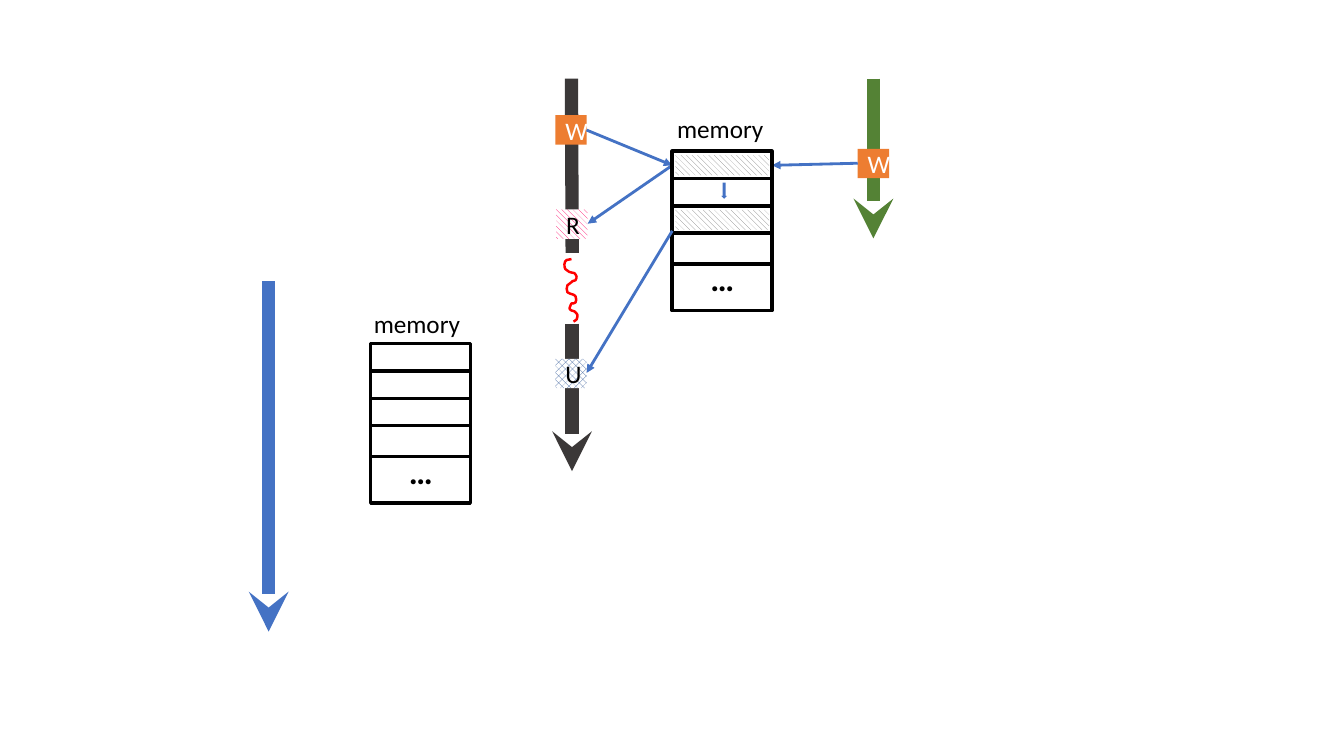
from dataclasses import dataclass

from lxml import etree
from pptx import Presentation
from pptx.dml.color import RGBColor
from pptx.enum.dml import MSO_PATTERN
from pptx.enum.shapes import MSO_CONNECTOR, MSO_SHAPE
from pptx.enum.text import MSO_ANCHOR, MSO_AUTO_SIZE, PP_ALIGN
from pptx.oxml.ns import qn
from pptx.util import Pt

STRAIGHT = MSO_CONNECTOR.STRAIGHT
RECTANGLE, DOWN_ARROW = MSO_SHAPE.RECTANGLE, MSO_SHAPE.DOWN_ARROW
DIAGONAL, HALF_TONE = MSO_PATTERN.WIDE_DOWNWARD_DIAGONAL, MSO_PATTERN.PERCENT_50
MIDDLE, CENTER = MSO_ANCHOR.MIDDLE, PP_ALIGN.CENTER
FIT_SHAPE = MSO_AUTO_SIZE.SHAPE_TO_FIT_TEXT

BLACK, WHITE, GRAY, RED = "000000", "FFFFFF", "808080", "FF0000"
BLUE, NAVY, GREEN, CHARCOAL = "4472C4", "2F5597", "548235", "3B3838"
ORANGE, PINK = "ED7D31", "FF0066"

MEMORY_WIDTH, MEMORY_HEIGHT = 71.2, 113.8
ROW_TOPS = (0, 19.5, 39, 58.5, 80.6)
EVENT_WIDTH, EVENT_HEIGHT = 22.4, 21
TIMELINE_WEIGHT, BORDER_WEIGHT, LINK_WEIGHT = 9.5, 2.5, 2
POINTS_PER_INCH = 72


@dataclass(frozen=True)
class Line:
    """A straight line in points, with an optional arrowhead at its end."""
    start: tuple[float, float]
    end: tuple[float, float]
    color: str = BLUE
    weight: float = LINK_WEIGHT
    head: str = "triangle"


@dataclass(frozen=True)
class Event:
    """A lettered operation on a timeline."""
    letter: str
    left: float
    top: float
    color: str
    text_color: str = BLACK
    pattern: MSO_PATTERN | None = None


@dataclass(frozen=True)
class Memory:
    """A memory block, its label position and its shaded row indexes."""
    left: float
    top: float
    label_left: float
    label_top: float
    shaded_rows: tuple[int, ...] = ()


TIMELINES = (
    Line((408.2, 56.2), (408.7, 180.7), CHARCOAL, TIMELINE_WEIGHT, ""),
    Line((623.9, 56.2), (623.9, 170.3), GREEN, TIMELINE_WEIGHT, "stealth"),
    Line((191.9, 200.9), (191.9, 451.1), BLUE, TIMELINE_WEIGHT, "stealth"),
    Line((408.6, 231.1), (408.6, 336.5), CHARCOAL, TIMELINE_WEIGHT, "stealth"),
)
EVENTS = (
    Event("W", 396.7, 82.3, ORANGE, WHITE),
    Event("W", 612.7, 106.3, ORANGE, WHITE),
    Event("R", 397.3, 149.6, PINK, pattern=DIAGONAL),
    Event("U", 396.7, 256.3, NAVY, pattern=HALF_TONE),
)
ACCESS_LINKS = (
    Line((419, 92.9), (480.2, 118.1)),
    Line((612.7, 116.6), (551.5, 118.1)),
    Line((480.2, 118.1), (419.8, 159.8)),
)
UPDATE_LINK = Line((480.2, 164.9), (419, 266.4))
MEMORIES = (
    Memory(264.8, 245.5, 259.9, 217),
    Memory(480.2, 108, 476.6, 77.5, (0, 2)),
)

# Start point, then two control points and an end point for each Bezier curve.
WAVE = (
    (5.67, 2.57), (5.65, 2.57), (5.64, 2.57), (5.62, 2.58), (5.61, 2.58), (5.6, 2.61),
    (5.6, 2.62), (5.6, 2.64), (5.6, 2.66), (5.61, 2.67), (5.63, 2.7), (5.66, 2.7),
    (5.7, 2.71), (5.72, 2.74), (5.73, 2.74), (5.71, 2.78), (5.7, 2.79), (5.69, 2.79),
    (5.68, 2.79), (5.67, 2.8), (5.63, 2.83), (5.63, 2.83), (5.63, 2.85), (5.61, 2.88),
    (5.63, 2.9), (5.64, 2.91), (5.68, 2.92), (5.68, 2.92), (5.69, 2.92), (5.7, 2.93),
    (5.71, 2.94), (5.72, 2.96), (5.72, 2.99), (5.71, 3), (5.7, 3.01), (5.69, 3.01),
    (5.67, 3.01), (5.67, 3.01), (5.65, 3.05), (5.65, 3.06), (5.65, 3.07), (5.67, 3.08),
    (5.67, 3.08), (5.68, 3.09), (5.69, 3.09), (5.7, 3.09), (5.73, 3.12), (5.74, 3.12),
    (5.72, 3.17), (5.71, 3.18), (5.69, 3.19), (5.69, 3.19),
)


def set_color(target, color: str) -> None:
    """Give a color format a hex color."""
    target.rgb = RGBColor.from_string(color)


def set_outline(line, color: str, weight: float) -> None:
    """Give an outline a solid color and a weight."""
    line.fill.solid()
    set_color(line.color, color)
    line.width = Pt(weight)


def write_text(shape, text: str, color: str, frame_format: dict,
               size: float = 18, bold: bool = False, alignment=None) -> None:
    """Write one formatted paragraph into a shape."""
    for name, value in frame_format.items():
        setattr(shape.text_frame, name, value)
    paragraph = shape.text_frame.paragraphs[0]
    paragraph.alignment = alignment
    run = paragraph.add_run()
    run.text = text
    for name, value in {"name": "Calibri", "size": Pt(size), "bold": bold}.items():
        setattr(run.font, name, value)
    set_color(run.font.color, color)


def draw_line(shapes, line: Line) -> None:
    """Draw a straight line or an arrow."""
    connector = shapes.add_connector(STRAIGHT, *map(Pt, line.start + line.end))
    set_outline(connector.line, line.color, line.weight)
    properties = connector._element.spPr
    if line.head:
        etree.SubElement(properties.find(qn("a:ln")), qn("a:tailEnd"), type=line.head)
    etree.SubElement(properties, qn("a:effectLst"))


def draw_shape(shapes, box: tuple, color: str, pattern=None, kind=RECTANGLE):
    """Draw a solid or patterned shape without an outline."""
    shape = shapes.add_shape(kind, *map(Pt, box))
    shape.shadow.inherit = False
    shape.line.fill.background()
    if pattern is None:
        shape.fill.solid()
    else:
        shape.fill.patterned()
        shape.fill.pattern = pattern
        set_color(shape.fill.back_color, WHITE)
    set_color(shape.fill.fore_color, color)
    return shape


def draw_event(shapes, event: Event) -> None:
    """Draw a lettered event box."""
    box = (event.left, event.top, EVENT_WIDTH, EVENT_HEIGHT)
    shape = draw_shape(shapes, box, event.color, event.pattern)
    write_text(shape, event.letter, event.text_color,
               {"word_wrap": True, "vertical_anchor": MIDDLE}, alignment=CENTER)


def draw_memory(shapes, memory: Memory) -> None:
    """Draw a memory block with its rows grouped, and its label."""
    left, top = memory.left, memory.top
    group = shapes.add_group_shape().shapes
    frame = draw_shape(group, (left, top, MEMORY_WIDTH, MEMORY_HEIGHT), WHITE)
    set_outline(frame.line, BLACK, BORDER_WEIGHT)
    for row_top in ROW_TOPS[1:]:
        draw_line(group, Line((left, top + row_top), (left + MEMORY_WIDTH, top + row_top),
                              BLACK, BORDER_WEIGHT, ""))
    ellipsis = group.add_textbox(*map(Pt, (left + 20.2, top + 72.8, 31, 36)))
    write_text(ellipsis, "…", BLACK, {"word_wrap": True, "auto_size": FIT_SHAPE}, 24, True)
    for row in memory.shaded_rows:
        draw_shape(group, (left + 2.2, top + ROW_TOPS[row] + 2.9, 67, 14.4), GRAY, DIAGONAL)
    label = shapes.add_textbox(*map(Pt, (memory.label_left, memory.label_top, 77, 29)))
    write_text(label, "memory", BLACK, {"word_wrap": False, "auto_size": FIT_SHAPE})


def draw_wave(shapes) -> None:
    """Draw the wavy break in the middle timeline as Bezier curves."""
    start, *points = [tuple(Pt(POINTS_PER_INCH * value) for value in point) for point in WAVE]
    builder = shapes.build_freeform(*start)
    builder.add_line_segments(points, close=False)
    wave = builder.convert_to_shape()
    segments = list(wave._element.iter(qn("a:lnTo")))
    for index in range(0, len(segments), 3):
        curve = etree.Element(qn("a:cubicBezTo"))
        segments[index].addprevious(curve)
        for segment in segments[index:index + 3]:
            curve.append(segment[0])
            segment.getparent().remove(segment)
    wave.shadow.inherit = False
    wave.fill.background()
    set_outline(wave.line, RED, 1.75)


presentation = Presentation()
presentation.slide_width, presentation.slide_height = Pt(960), Pt(540)
slide = presentation.slides.add_slide(presentation.slide_layouts[6])
for timeline in TIMELINES:
    draw_line(slide.shapes, timeline)
for timeline_event in EVENTS:
    draw_event(slide.shapes, timeline_event)
for link in ACCESS_LINKS:
    draw_line(slide.shapes, link)
for memory_block in MEMORIES:
    draw_memory(slide.shapes, memory_block)
draw_wave(slide.shapes)
draw_shape(slide.shapes, (515.1, 130.5, 4.3, 11.5), BLUE, kind=DOWN_ARROW)
draw_line(slide.shapes, UPDATE_LINK)
presentation.save("out.pptx")
